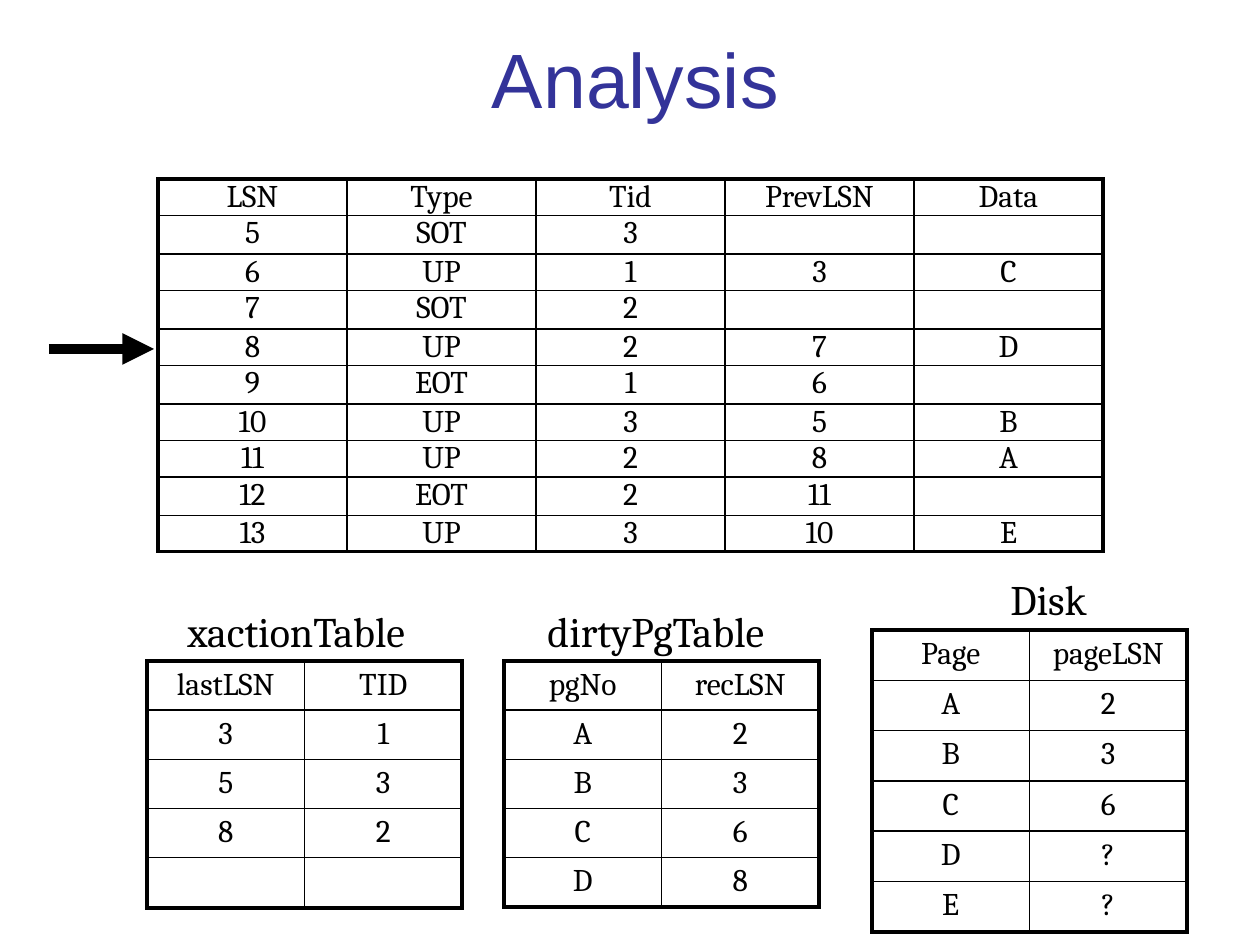
"""Builds the log analysis slide with its recovery tables."""
from lxml.etree import SubElement
from pptx import Presentation
from pptx.dml.color import RGBColor
from pptx.enum.shapes import MSO_CONNECTOR
from pptx.enum.text import MSO_ANCHOR, MSO_AUTO_SIZE, PP_ALIGN
from pptx.oxml.ns import qn
from pptx.util import Emu, Pt

BLACK, WHITE, BLUE = "000000", "FFFFFF", "333399"


def pixels(length):
    return Emu(round(length * 914400 / 126))


def color(value):
    return RGBColor.from_string(value)


class SlideBuilder:
    title_font, body_font = "Arial", "Cambria"
    outer_border, inner_border = 2.25, 1

    def __init__(self, deck):
        self.page = deck.slides.add_slide(deck.slide_layouts[5])

    def add_text(self, para, text, size, font, tint=BLACK):
        span = para.add_run()
        span.text = text
        span.font.size = Pt(size)
        span.font.name = font
        span.font.color.rgb = color(tint)

    def title(self, text, left, top, width, height):
        box = self.page.shapes.title
        box.left, box.top = pixels(left), pixels(top)
        box.width, box.height = pixels(width), pixels(height)
        box.text_frame.vertical_anchor = MSO_ANCHOR.MIDDLE
        para = box.text_frame.paragraphs[0]
        para.alignment = PP_ALIGN.CENTER
        self.add_text(para, text, 44, self.title_font, BLUE)

    def label(self, text, left, top, width, height=63):
        box = self.page.shapes.add_textbox(pixels(left), pixels(top), pixels(width), pixels(height))
        box.text_frame.word_wrap = False
        box.text_frame.auto_size = MSO_AUTO_SIZE.SHAPE_TO_FIT_TEXT
        self.add_text(box.text_frame.paragraphs[0], text, 24, self.body_font)

    def arrow(self, left, right, middle):
        connector = self.page.shapes.add_connector(
            MSO_CONNECTOR.STRAIGHT, pixels(left), pixels(middle), pixels(right), pixels(middle))
        connector.line.color.rgb = color(BLACK)
        connector.line.width = Pt(6)
        properties = connector._element.spPr
        SubElement(properties.find(qn("a:ln")), qn("a:tailEnd"), type="triangle")
        SubElement(properties, qn("a:effectLst"))

    def border(self, cell, side, width):
        properties = cell._tc.get_or_add_tcPr()
        line = SubElement(properties, qn(f"a:ln{side}"), w=str(int(Pt(width))))
        fill = SubElement(line, qn("a:solidFill"))
        SubElement(fill, qn("a:srgbClr"), val=BLACK)

    def table(self, rows, left, top, width, height, margins=(12, 6)):
        row_count, column_count = len(rows), len(rows[0])
        frame = self.page.shapes.add_table(
            row_count, column_count, pixels(left), pixels(top), pixels(width), pixels(height))
        grid = frame.table
        grid.first_row = grid.horz_banding = False
        for row, texts in enumerate(rows):
            for column, text in enumerate(texts):
                cell = grid.cell(row, column)
                cell.margin_left = cell.margin_right = pixels(margins[0])
                cell.margin_top = cell.margin_bottom = pixels(margins[1])
                edges = {"L": column == 0, "R": column == column_count - 1,
                         "T": row == 0, "B": row == row_count - 1}
                for side, is_outer in edges.items():
                    self.border(cell, side, self.outer_border if is_outer else self.inner_border)
                cell.fill.solid()
                cell.fill.fore_color.rgb = color(WHITE)
                if text:
                    para = cell.text_frame.paragraphs[0]
                    para.alignment = PP_ALIGN.CENTER
                    self.add_text(para, text, 18, self.body_font)


LOG = [
    ("LSN", "Type", "Tid", "PrevLSN", "Data"),
    ("5", "SOT", "3", "", ""),
    ("6", "UP", "1", "3", "C"),
    ("7", "SOT", "2", "", ""),
    ("8", "UP", "2", "7", "D"),
    ("9", "EOT", "1", "6", ""),
    ("10", "UP", "3", "5", "B"),
    ("11", "UP", "2", "8", "A"),
    ("12", "EOT", "2", "11", ""),
    ("13", "UP", "3", "10", "E"),
]
TRANSACTIONS = [("lastLSN", "TID"), ("3", "1"), ("5", "3"), ("8", "2"), ("", "")]
DIRTY_PAGES = [("pgNo", "recLSN"), ("A", "2"), ("B", "3"), ("C", "6"), ("D", "8")]
DISK = [("Page", "pageLSN"), ("A", "2"), ("B", "3"), ("C", "6"), ("D", "?"), ("E", "?")]

deck = Presentation()
deck.slide_width, deck.slide_height = pixels(1260), pixels(945)
builder = SlideBuilder(deck)
builder.title("Analysis", 53, 10, 1165, 136)
builder.arrow(49, 154, 349)
builder.table(LOG, 158, 179, 945, 365, margins=(6, 0))
builder.table(TRANSACTIONS, 147, 661, 315, 246)
builder.table(DIRTY_PAGES, 504, 661, 315, 246)
builder.table(DISK, 872, 630, 315, 302)
builder.label("xactionTable", 175, 599, 244)
builder.label("dirtyPgTable", 535, 599, 244)
builder.label("Disk", 998, 567, 105)
deck.save("out.pptx")
